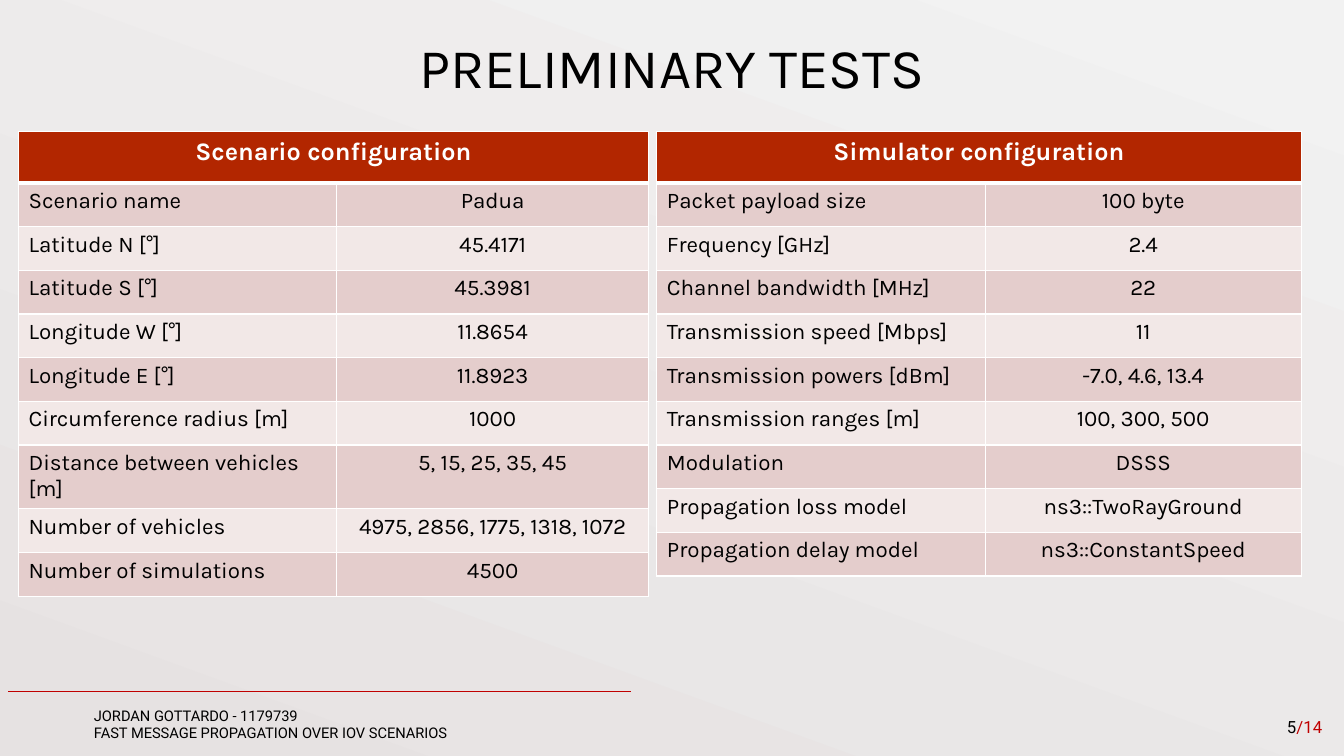
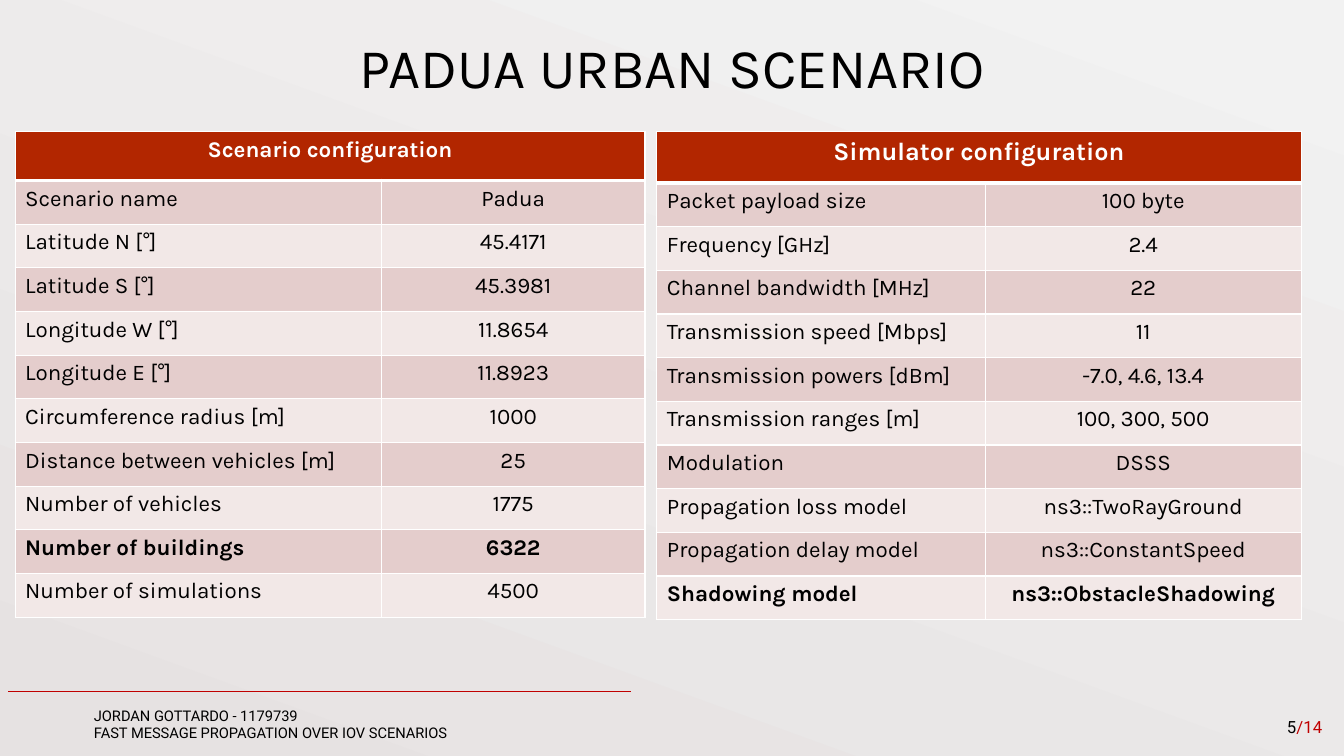
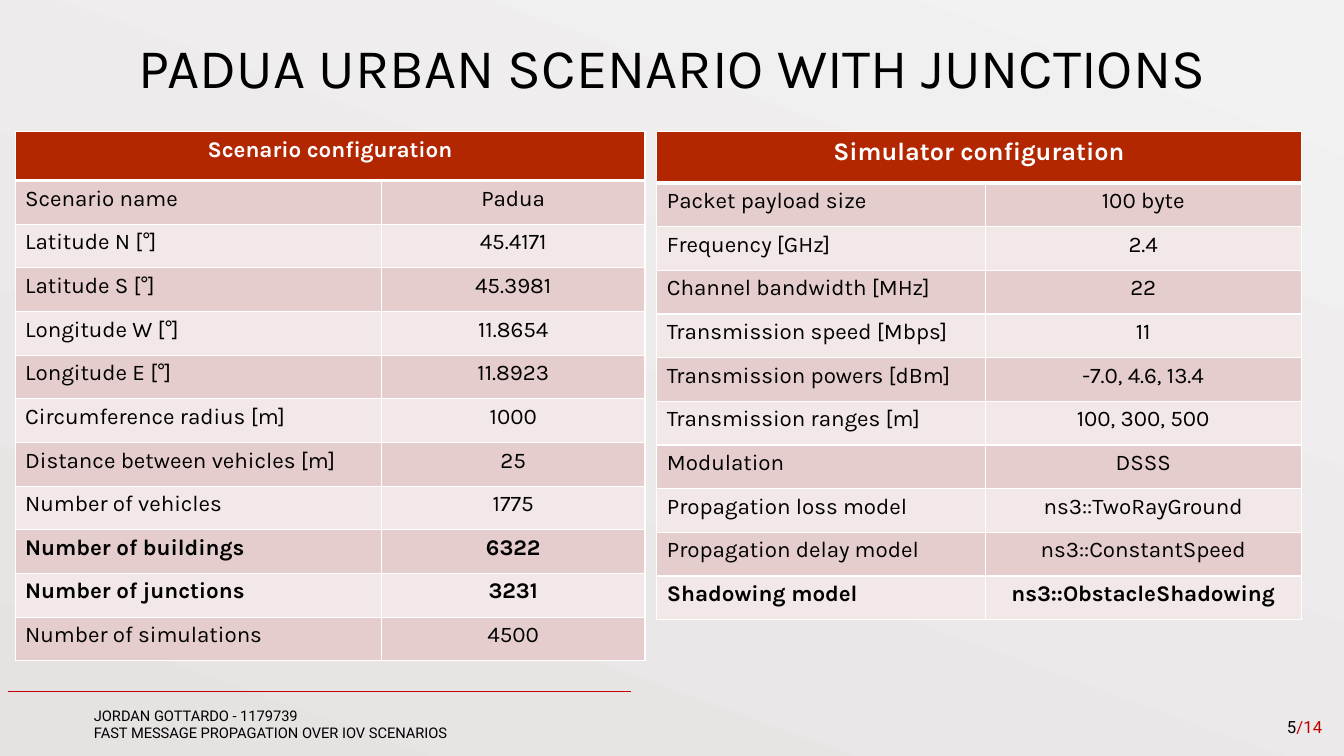
from lxml import etree
from pptx import Presentation
from pptx.dml.color import RGBColor
from pptx.enum.shapes import MSO_CONNECTOR
from pptx.enum.text import MSO_ANCHOR, MSO_AUTO_SIZE, PP_ALIGN
from pptx.oxml.ns import qn
from pptx.util import Inches, Pt

LEFT, CENTER, RIGHT = PP_ALIGN.LEFT, PP_ALIGN.CENTER, PP_ALIGN.RIGHT
MIDDLE = MSO_ANCHOR.MIDDLE
GROW = MSO_AUTO_SIZE.SHAPE_TO_FIT_TEXT
STRAIGHT = MSO_CONNECTOR.STRAIGHT

# Shared style
HEADING_FONT, FOOTER_FONT = "Karla", "Roboto"
BLACK, WHITE, RED = "000000", "FFFFFF", "C00000"
HEADER_FILL = "B22600"
BAND_FILLS = ("E4CDCC", "F2E8E7")
BACKDROP = ("F2F2F2", "E6E2E2")

# Grid: 160 columns by 90 rows
COLUMNS, ROWS = 160, 90
TABLE_TOP, ROW_HEIGHT = 15.7, 5.2

# Table contents
PLACE = [
    ("Scenario name", "Padua"),
    ("Latitude N [°]", "45.4171"),
    ("Latitude S [°]", "45.3981"),
    ("Longitude W [°]", "11.8654"),
    ("Longitude E [°]", "11.8923"),
    ("Circumference radius [m]", "1000"),
]
BUILDINGS = ("Number of buildings", "6322")
JUNCTIONS = ("Number of junctions", "3231")
SIMULATIONS = ("Number of simulations", "4500")
RADIO = [
    ("Packet payload size", "100 byte"),
    ("Frequency [GHz]", "2.4"),
    ("Channel bandwidth [MHz]", "22"),
    ("Transmission speed [Mbps]", "11"),
    ("Transmission powers [dBm]", "-7.0, 4.6, 13.4"),
    ("Transmission ranges [m]", "100, 300, 500"),
    ("Modulation", "DSSS"),
    ("Propagation loss model", "ns3::TwoRayGround"),
    ("Propagation delay model", "ns3::ConstantSpeed"),
]
SHADOWING = ("Shadowing model", "ns3::ObstacleShadowing")
EMPHASISED = (BUILDINGS, JUNCTIONS, SHADOWING)


def rgb(hex_code):
    return RGBColor.from_string(hex_code)


def scenario_rows(distances, vehicles, *extras):
    return [*PLACE, ("Distance between vehicles [m]", distances),
            ("Number of vehicles", vehicles), *extras, SIMULATIONS]


class Deck:
    """Holds the style and the slide being filled."""

    def __init__(self):
        self.prs = Presentation()
        self.prs.slide_width, self.prs.slide_height = Inches(13.33), Inches(7.5)
        self.slide = None
        backdrop = self.prs.slide_master.background.fill
        backdrop.gradient()
        backdrop.gradient_angle = 250
        for stop, color in zip(backdrop.gradient_stops, BACKDROP):
            stop.color.rgb = rgb(color)

    def x(self, columns):
        return int(self.prs.slide_width * columns / COLUMNS)

    def y(self, rows):
        return int(self.prs.slide_height * rows / ROWS)

    def box(self, left, top, width, height):
        return self.x(left), self.y(top), self.x(width), self.y(height)

    def set_text(self, frame, text, size, font, color, align=LEFT, bold=False):
        frame.text = text
        for paragraph in frame.paragraphs:
            paragraph.alignment = align
            paragraph.font.size = Pt(size)
            paragraph.font.name = font
            paragraph.font.bold = bold
            paragraph.font.color.rgb = rgb(color)

    def new_slide(self, title):
        self.slide = self.prs.slides.add_slide(self.prs.slide_layouts[5])
        self.footer()
        self.title(title)

    def title(self, text):
        heading = self.slide.shapes.title
        heading.left, heading.top, heading.width, heading.height = self.box(
            0, -0.8, COLUMNS, 17.4)
        heading.text_frame.vertical_anchor = MIDDLE
        self.set_text(heading.text_frame, text, 40, HEADING_FONT, BLACK, CENTER)

    def label(self, place, text, size, color, align=LEFT):
        frame = self.slide.shapes.add_textbox(*self.box(*place)).text_frame
        frame.word_wrap = True
        frame.auto_size = GROW
        self.set_text(frame, text, size, FOOTER_FONT, color, align)

    def rule(self, left, right, row):
        line = self.slide.shapes.add_connector(
            STRAIGHT, self.x(left), self.y(row), self.x(right), self.y(row))
        line.line.color.rgb = rgb(RED)
        line.line.width = Pt(0.5)
        etree.SubElement(line._element.spPr, qn("a:effectLst"))

    def footer(self):
        self.label((10, 83.5, 76.2, 5.4),
                   "JORDAN GOTTARDO - 1179739\n"
                   "FAST MESSAGE PROPAGATION OVER IOV SCENARIOS", 10.5, BLACK)
        self.rule(1, 75.1, 82.3)
        self.label((148.3, 84.7, 10.3, 3.6), "/14", 12, RED, RIGHT)
        self.label((150.8, 84.7, 4.7, 3.6), "5", 12, BLACK, RIGHT)

    def borders(self, cell, top=1, bottom=1):
        properties = cell._tc.get_or_add_tcPr()
        widths = {"a:lnL": 1, "a:lnR": 1, "a:lnT": top, "a:lnB": bottom}
        for position, (side, width) in enumerate(widths.items()):
            edge = etree.Element(qn(side), w=str(Pt(width)))
            paint = etree.SubElement(edge, qn("a:solidFill"))
            etree.SubElement(paint, qn("a:srgbClr"), val=WHITE)
            properties.insert(position, edge)

    def fill_cell(self, cell, fill, text, size, color, align, bold):
        cell.fill.solid()
        cell.fill.fore_color.rgb = rgb(fill)
        self.set_text(cell.text_frame, text, size, HEADING_FONT, color, align, bold)

    def table(self, left, widths, heading, rows, heading_size=18, heading_height=6.1):
        height = heading_height + ROW_HEIGHT * len(rows)
        grid = self.slide.shapes.add_table(
            len(rows) + 1, 2, *self.box(left, TABLE_TOP, sum(widths), height)).table
        grid.horz_banding = False
        for column, width in zip(grid.columns, widths):
            column.width = self.x(width)
        for row in grid.rows:
            row.height = self.y(ROW_HEIGHT)
        grid.rows[0].height = self.y(heading_height)

        # Heading across both columns
        grid.cell(0, 0).merge(grid.cell(0, 1))
        self.fill_cell(grid.cell(0, 0), HEADER_FILL, heading, heading_size,
                       WHITE, CENTER, True)
        for column in range(2):
            self.borders(grid.cell(0, column), bottom=3)

        # Parameter rows in alternating bands
        for number, entry in enumerate(rows, 1):
            for column, align in enumerate((LEFT, CENTER)):
                cell = grid.cell(number, column)
                self.fill_cell(cell, BAND_FILLS[(number - 1) % 2], entry[column],
                               16, BLACK, align, entry in EMPHASISED)
                self.borders(cell, top=3 if number == 1 else 1)

    def simulator(self, rows):
        self.table(78.2, (39.1, 37.6), "Simulator configuration", rows)


def main():
    deck = Deck()
    scenario = "Scenario configuration"

    # Preliminary tests
    deck.new_slide("PRELIMINARY TESTS")
    deck.table(2.2, (37.9, 37.1), scenario,
               scenario_rows("5, 15, 25, 35, 45", "4975, 2856, 1775, 1318, 1072"))
    deck.simulator(RADIO)

    # Urban scenarios, without and with junctions
    for title, extras in (
        ("PADUA URBAN SCENARIO", [BUILDINGS]),
        ("PADUA URBAN SCENARIO WITH JUNCTIONS", [BUILDINGS, JUNCTIONS]),
    ):
        deck.new_slide(title)
        deck.table(1.8, (43.6, 31.4), scenario, scenario_rows("25", "1775", *extras),
                   heading_size=16, heading_height=5.8)
        deck.simulator([*RADIO, SHADOWING])

    deck.prs.save("out.pptx")


if __name__ == "__main__":
    main()
